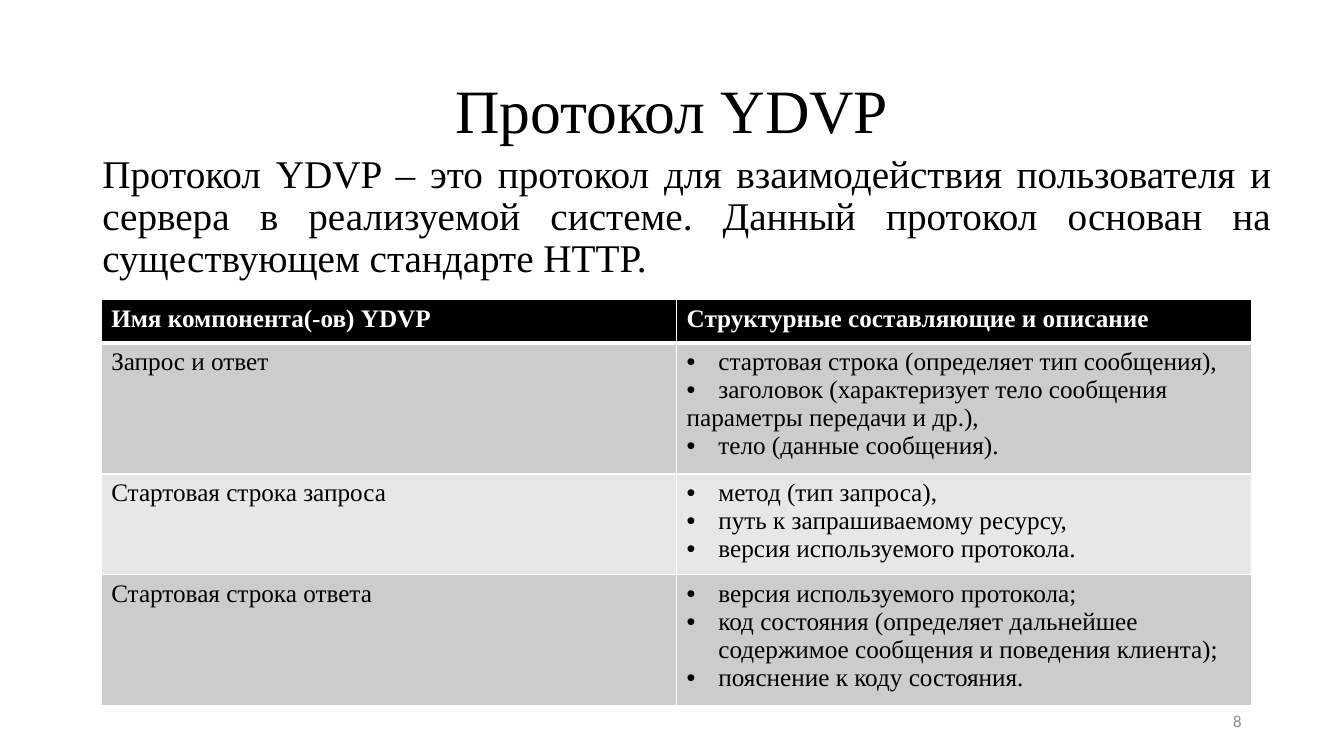
from lxml import etree
from pptx import Presentation
from pptx.dml.color import RGBColor
from pptx.enum import text as t
from pptx.oxml import ns
from pptx.util import Cm, Pt

# Content: a leading "•" marks a bulleted line
TITLE = "Протокол YDVP"
INTRO = ("Протокол YDVP – это протокол для взаимодействия пользователя и сервера "
         "в реализуемой системе. Данный протокол основан на существующем стандарте HTTP.")
PAGE = "8"
ROWS = [
    ("Имя компонента(-ов) YDVP", ["Структурные составляющие и описание"]),
    ("Запрос и ответ", [
        "•стартовая строка (определяет тип сообщения),",
        "•заголовок (характеризует тело сообщения",
        "параметры передачи и др.),",
        "•тело (данные сообщения)."]),
    ("Стартовая строка запроса", [
        "•метод (тип запроса),",
        "•путь к запрашиваемому ресурсу,",
        "•версия используемого протокола."]),
    ("Стартовая строка ответа", [
        "•версия используемого протокола;",
        "•код состояния (определяет дальнейшее содержимое сообщения и поведения клиента);",
        "•пояснение к коду состояния."]),
]
HIGHS = [1.09, 3.15, 2.44, 3.15]
WIDE = 14.5
SERIF = "Times New Roman"
BLACK, WHITE, GREY = "000000", "FFFFFF", "8C8C8C"
BANDS = ["E7E7E7", "CCCCCC"]


def color(code):
    return RGBColor.from_string(code)


def style(para, size, code, face=SERIF, bold=False):
    font = para.font
    font.size, font.name, font.bold = Pt(size), face, bold
    font.color.rgb = color(code)


def label(box, words, size, align, anchor, code=BLACK, face=SERIF, space=None):
    frame = slide.shapes.add_textbox(*map(Cm, box)).text_frame
    frame.word_wrap = True
    frame.vertical_anchor = anchor
    para = frame.paragraphs[0]
    para.text, para.alignment, para.line_spacing = words, align, space
    style(para, size, code, face)


def bullet(para):
    props = para._p.get_or_add_pPr()
    props.set("marL", str(Cm(0.8)))
    props.set("indent", str(Cm(-0.8)))
    font = etree.SubElement(props, ns.qn("a:buFont"))
    font.set("typeface", "Arial")
    etree.SubElement(props, ns.qn("a:buChar")).set("char", "•")


def border(cell, side, width):
    line = etree.SubElement(cell._tc.get_or_add_tcPr(), ns.qn("a:ln" + side))
    line.set("w", str(Pt(width)))
    fill = etree.SubElement(line, ns.qn("a:solidFill"))
    etree.SubElement(fill, ns.qn("a:srgbClr")).set("val", WHITE)


def fill_cell(cell, lines, row):
    head = row == 0
    frame = cell.text_frame
    for i, line in enumerate(lines):
        para = frame.add_paragraph() if i else frame.paragraphs[0]
        if line.startswith("•"):
            bullet(para)
        para.text = line.lstrip("•")
        style(para, 18, WHITE if head else BLACK, bold=head)
    # The rule under the header is thicker
    for side in "LRTB":
        border(cell, side, 3 if (row, side) in [(0, "B"), (1, "T")] else 1)
    cell.fill.solid()
    cell.fill.fore_color.rgb = color(BLACK if head else BANDS[row % 2])


deck = Presentation()
deck.slide_width, deck.slide_height = Cm(33.87), Cm(19.05)
slide = deck.slides.add_slide(deck.slide_layouts[6])

# Title, introduction and page number
label((2.33, 1.01, 29.21, 3.68), TITLE, 44, t.PP_ALIGN.CENTER,
      t.MSO_ANCHOR.MIDDLE, space=0.9)
label((2.33, 3.76, 29.95, 3.68), INTRO, 28, t.PP_ALIGN.JUSTIFY,
      t.MSO_ANCHOR.TOP, space=0.9)
label((23.92, 17.66, 7.62, 1.01), PAGE, 12, t.PP_ALIGN.RIGHT,
      t.MSO_ANCHOR.MIDDLE, GREY, "Calibri")

# Table of protocol parts
grid = slide.shapes.add_table(len(ROWS), 2, Cm(2.55), Cm(7.55),
                              Cm(2 * WIDE), Cm(sum(HIGHS))).table
for col in grid.columns:
    col.width = Cm(WIDE)
for row, (name, parts) in enumerate(ROWS):
    grid.rows[row].height = Cm(HIGHS[row])
    fill_cell(grid.cell(row, 0), [name], row)
    fill_cell(grid.cell(row, 1), parts, row)

deck.save("out.pptx")
